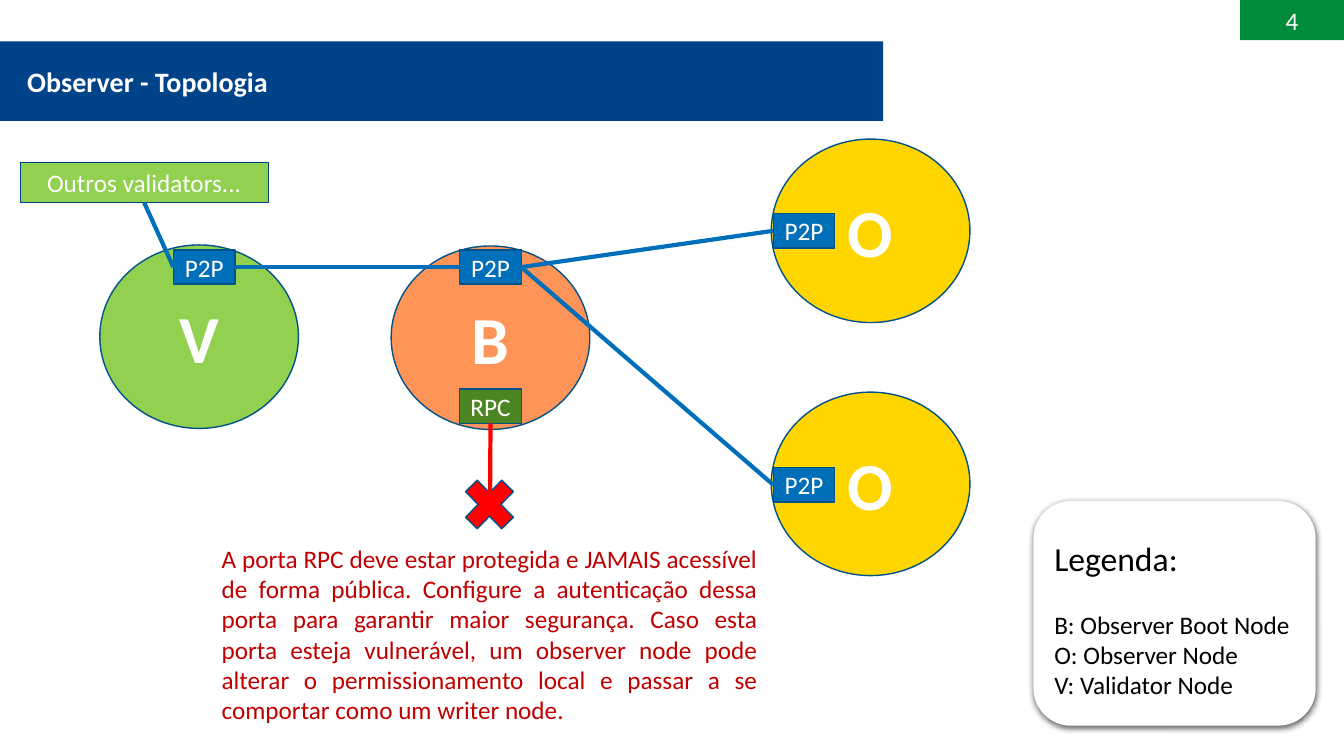
"""Builds the Observer topology slide: nodes, their ports, the links and a legend."""
import pptx
import pptx.util
import pptx.dml.color
import pptx.enum.shapes
import pptx.enum.text
import pptx.oxml
import pptx.oxml.ns

Inches, Pt = pptx.util.Inches, pptx.util.Pt
MSO = pptx.enum.shapes.MSO_SHAPE
ALIGN = pptx.enum.text.PP_ALIGN
ANCHOR = pptx.enum.text.MSO_ANCHOR
BLUE, GREEN, YELLOW, EDGE = "006FB9", "92D050", "FFD500", "005289"


def style(p, size, color, bold=False, align=ALIGN.LEFT):
    """Formats a paragraph."""
    p.alignment = align
    p.font.name, p.font.size, p.font.bold = "Calibri", Pt(size), bold
    p.font.color.rgb = pptx.dml.color.RGBColor.from_string(color)


def add_box(kind, box, fill, line=None, text="", size=18, bold=False, width=1):
    """Adds a filled shape with centred white text."""
    sp = s.shapes.add_shape(kind, *map(Inches, box))
    sp.shadow.inherit = False
    sp.fill.solid()
    sp.fill.fore_color.rgb = pptx.dml.color.RGBColor.from_string(fill)
    if line:
        sp.line.color.rgb = pptx.dml.color.RGBColor.from_string(line)
        sp.line.width = Pt(width)
    else:
        sp.line.fill.background()
    if text:
        tf = sp.text_frame
        tf.word_wrap = False
        tf.vertical_anchor = ANCHOR.MIDDLE
        tf.text = text
        style(tf.paragraphs[0], size, "FFFFFF", bold, ALIGN.CENTER)
    return sp


prs = pptx.Presentation()
prs.slide_width, prs.slide_height = Inches(13.33), Inches(7.5)
s = prs.slides.add_slide(prs.slide_layouts[5])

add_box(MSO.RECTANGLE, (12.3, 0, 1.03, 0.4), "008B3A", text="4")
add_box(MSO.RECTANGLE, (0, 0.41, 8.76, 0.79), "004389")

title = s.shapes.title
title.element.getparent().append(title.element)
title.left, title.top, title.width, title.height = map(Inches, (0.2, 0.6, 2.56, 0.41))
tf = title.text_frame
tf.text = "Observer - Topologia"
tf.word_wrap = False
tf.auto_size = pptx.enum.text.MSO_AUTO_SIZE.NONE
tf.vertical_anchor = ANCHOR.MIDDLE
tf.margin_left = tf.margin_right = Inches(0.07)
tf.margin_top = tf.margin_bottom = Inches(0.04)
style(tf.paragraphs[0], 20, "FFFFFF", True)

nodes = [
    ("V", 0.99, 2.43, GREEN),
    ("B", 3.88, 2.44, "FF9458"),
    ("O", 7.65, 1.38, YELLOW),
    ("O", 7.65, 3.89, YELLOW),
]
for name, x, y, fill in nodes:
    add_box(MSO.OVAL, (x, y, 1.97, 1.82), fill, EDGE, name, 48, True)

ports = [
    ("P2P", 1.72, 2.48, BLUE),
    ("P2P", 4.56, 2.48, BLUE),
    ("P2P", 7.67, 2.12, BLUE),
    ("P2P", 7.67, 4.64, BLUE),
    ("RPC", 4.56, 3.86, "4C8622"),
]
validator, boot, observer_1, observer_2, rpc = [
    add_box(MSO.RECTANGLE, (x, y, 0.61, 0.34), fill, EDGE, name)
    for name, x, y, fill in ports
]
others = add_box(MSO.RECTANGLE, (0.2, 1.61, 2.46, 0.4), GREEN, "004389",
                 "Outros validators...", width=0.75)
add_box(MSO.MATH_MULTIPLY, (4.51, 4.65, 0.69, 0.71), "FF0000", EDGE)

TOP, LEFT, BOTTOM, RIGHT = range(4)
links = [
    (boot, RIGHT, observer_1, LEFT, BLUE),
    (boot, RIGHT, observer_2, LEFT, BLUE),
    (boot, LEFT, validator, RIGHT, BLUE),
    (validator, LEFT, others, BOTTOM, BLUE),
    (rpc, BOTTOM, None, None, "FF0000"),
]
for start, start_site, end, end_site, color in links:
    c = s.shapes.add_connector(pptx.enum.shapes.MSO_CONNECTOR.STRAIGHT,
                               Inches(4.86), Inches(4.2), Inches(4.86), Inches(5.01))
    c.begin_connect(start, start_site)
    if end is not None:
        c.end_connect(end, end_site)
    c.line.color.rgb = pptx.dml.color.RGBColor.from_string(color)
    c.line.width = Pt(3)
    c.element.spPr.append(pptx.oxml.parse_xml(
        f'<a:effectLst {pptx.oxml.ns.nsdecls("a")}/>'))

warning = s.shapes.add_textbox(*map(Inches, (2.1, 5.34, 5.51, 1.92)))
tf = warning.text_frame
tf.word_wrap = True
tf.text = (
    "A porta RPC deve estar protegida e JAMAIS acessível de forma pública. "
    "Configure a autenticação dessa porta para garantir maior segurança. "
    "Caso esta porta esteja vulnerável, um observer node pode alterar o "
    "permissionamento local e passar a se comportar como um writer node."
)
style(tf.paragraphs[0], 18, "C00000", align=ALIGN.JUSTIFY)

legend = add_box(MSO.ROUNDED_RECTANGLE, (10.25, 4.97, 2.8, 2.23), "FFFFFF")
effects = legend.element.spPr.find(pptx.oxml.ns.qn("a:effectLst"))
effects.append(pptx.oxml.parse_xml(
    f'<a:outerShdw {pptx.oxml.ns.nsdecls("a")} blurRad="{Pt(4.5)}" dist="{Pt(1.5)}" '
    'dir="5400000" rotWithShape="0"><a:srgbClr val="000000">'
    '<a:alpha val="63000"/></a:srgbClr></a:outerShdw>'))
tf = legend.text_frame
tf.word_wrap = True
tf.vertical_anchor = ANCHOR.TOP
tf.margin_top = Inches(0.26)
tf.text = "Legenda:\nB: Observer Boot Node\nO: Observer Node\nV: Validator Node"
for p in tf.paragraphs:
    style(p, 18, "000000")
heading = tf.paragraphs[0]
heading.font.size = Pt(24)
heading.space_after = Pt(22)

prs.save("out.pptx")
